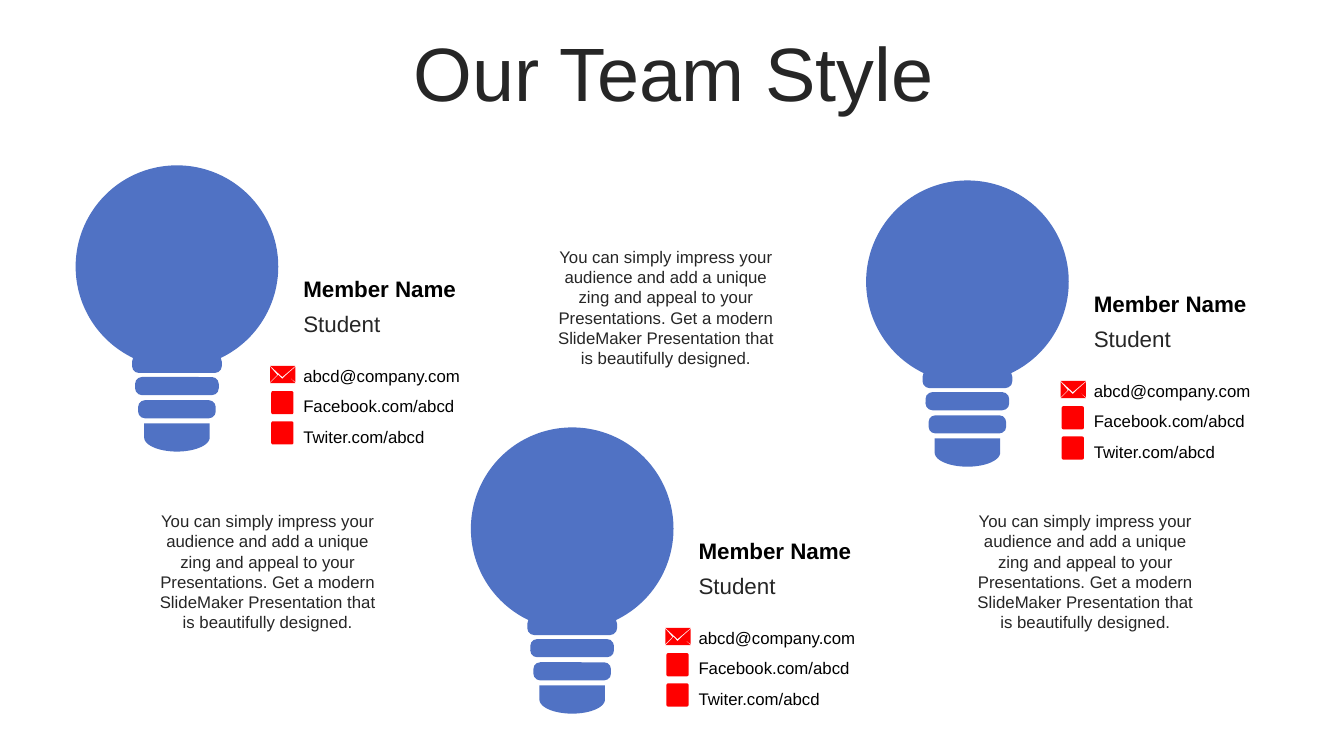
"""Build the team slide with three light bulbs, contact details and descriptions."""
import math

import pptx
import pptx.dml.color
import pptx.enum.shapes
import pptx.enum.text
import pptx.util

Inches = pptx.util.Inches
Pt = pptx.util.Pt
SHAPE = pptx.enum.shapes.MSO_SHAPE
ALIGN = pptx.enum.text.PP_ALIGN
ANCHOR = pptx.enum.text.MSO_ANCHOR

BLUE, RED, BLACK, DARK = "5072C4", "FF0000", "000000", "262626"
BULBS = [(0.75, 1.64), (4.67, 4.24), (8.59, 1.79)]
BULB_RINGS = [(0.56, 1.88, 0.89), (0.59, 2.1, 0.83), (0.62, 2.33, 0.77)]
ENVELOPE_FLAPS = [
    [(0.16, 0.09), (0.25, 0.17), (0, 0.17), (0.08, 0.09), (0.12, 0.13)],
    [(0.25, 0.01), (0.25, 0.16), (0.16, 0.09)],
    [(0, 0.01), (0, 0.16), (0.07, 0.09)],
    [(0, 0), (0.25, 0), (0.12, 0.11)],
]
CONTACTS = ["abcd@company.com", "Facebook.com/abcd", "Twiter.com/abcd"]
CONTACT_PITCH = 0.3
DESCRIPTION = (
    "You can simply impress your audience and add a unique zing and appeal to "
    "your Presentations. Get a modern SlideMaker Presentation that is "
    "beautifully designed."
)
DESCRIPTION_SPOTS = [(1.42, 5.02), (5.37, 2.4), (9.53, 5.02)]


def colour(value):
    return pptx.dml.color.RGBColor.from_string(value)


class TeamSlide:
    def __init__(self, presentation, font):
        self.font = font
        self.slide = presentation.slides.add_slide(presentation.slide_layouts[5])

    def run(self, paragraph, wording, size, ink, bold=False):
        run = paragraph.add_run()
        run.text = wording
        run.font.name = self.font
        run.font.size = Pt(size)
        run.font.bold = bold
        run.font.color.rgb = colour(ink)

    def title(self, wording):
        heading = self.slide.shapes.title
        heading.left, heading.top = Inches(0.35), Inches(0.37)
        heading.width, heading.height = Inches(12.66), Inches(0.79)
        frame = heading.text_frame
        frame.word_wrap = True
        frame.auto_size = pptx.enum.text.MSO_AUTO_SIZE.NONE
        frame.vertical_anchor = ANCHOR.MIDDLE
        paragraph = frame.paragraphs[0]
        paragraph.alignment = ALIGN.CENTER
        paragraph.line_spacing = 0.9
        self.run(paragraph, wording, 54, DARK)

    def text(self, wording, left, top, width, height, size, ink,
             bold=False, align=ALIGN.LEFT):
        box = self.slide.shapes.add_textbox(
            Inches(left), Inches(top), Inches(width), Inches(height))
        box.text_frame.word_wrap = True
        paragraph = box.text_frame.paragraphs[0]
        paragraph.alignment = align
        self.run(paragraph, wording, size, ink, bold)

    def paint(self, shape, fill):
        shape.shadow.inherit = False
        shape.fill.solid()
        shape.fill.fore_color.rgb = colour(fill)
        shape.line.fill.background()

    def preset(self, kind, left, top, width, height, fill, rounding=None):
        shape = self.slide.shapes.add_shape(
            kind, Inches(left), Inches(top), Inches(width), Inches(height))
        if rounding is not None:
            shape.adjustments[0] = rounding
        self.paint(shape, fill)

    def outline(self, contours, left, top, fill):
        placed = [[(Inches(left + x), Inches(top + y)) for x, y in contour]
                  for contour in contours]
        builder = self.slide.shapes.build_freeform(*placed[0][0], scale=1.0)
        for index, contour in enumerate(placed):
            if index:
                builder.move_to(*contour[0])
            builder.add_line_segments(contour[1:], close=True)
        self.paint(builder.convert_to_shape(), fill)

    def bulb(self, left, top):
        for x, y, width in BULB_RINGS:
            self.preset(SHAPE.ROUNDED_RECTANGLE, left + x, top + y, width, 0.18,
                        BLUE, 0.38)
        angles = [math.radians(step) for step in range(0, 181, 6)]
        curve = [(0.325 * (1 + math.cos(a)), 0.14 * (1 + math.sin(a)))
                 for a in angles]
        self.outline([[(0, 0), (0.65, 0)] + curve], left + 0.68, top + 2.56, BLUE)
        self.preset(SHAPE.OVAL, left, top, 2.01, 2.01, BLUE)

    def member(self, left, top):
        text_left = left + 2.16
        self.text("Member Name", text_left, top + 1.04, 1.77, 0.37, 16, BLACK, True)
        self.text("Student", text_left, top + 1.39, 1.77, 0.37, 16, DARK)
        self.outline(ENVELOPE_FLAPS, left + 1.93, top + 1.99, RED)
        for row, contact in enumerate(CONTACTS):
            row_top = top + 1.94 + row * CONTACT_PITCH
            if row:
                self.preset(SHAPE.ROUNDED_RECTANGLE, left + 1.94, row_top,
                            0.22, 0.23, RED, 0.08)
            self.text(contact, text_left, row_top, 1.77, 0.3, 12, BLACK)


def main():
    presentation = pptx.Presentation()
    presentation.slide_width = Inches(13.33)
    presentation.slide_height = Inches(7.5)
    team = TeamSlide(presentation, "Arial")
    team.title("Our Team Style")
    for left, top in BULBS:
        team.bulb(left, top)
        team.member(left, top)
    for left, top in DESCRIPTION_SPOTS:
        team.text(DESCRIPTION, left, top, 2.47, 1.31, 12, DARK, align=ALIGN.CENTER)
    presentation.save("out.pptx")


if __name__ == "__main__":
    main()
